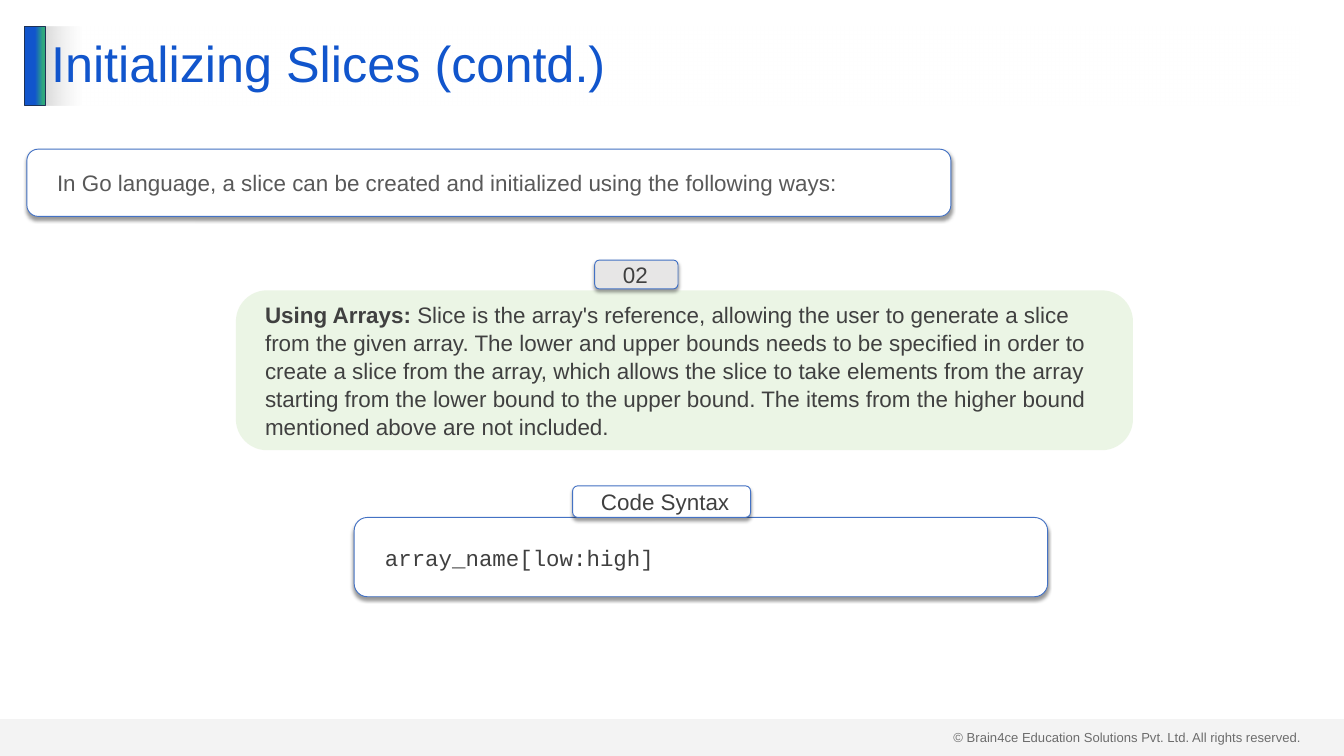
import pptx
import pptx.dml.color
import pptx.enum.shapes
import pptx.enum.text
import pptx.oxml
import pptx.oxml.ns
import pptx.util

Inches = pptx.util.Inches
Pt = pptx.util.Pt
RGB = pptx.dml.color.RGBColor
Kind = pptx.enum.shapes.MSO_SHAPE
Anchor = pptx.enum.text.MSO_ANCHOR
Align = pptx.enum.text.PP_ALIGN
qn = pptx.oxml.ns.qn
NS = pptx.oxml.ns.nsdecls("a")

WHITE = RGB(0xFF, 0xFF, 0xFF)
GREY = RGB(0xD9, 0xD9, 0xD9)
SILVER = RGB(0xE7, 0xE6, 0xE6)
DARK = RGB(0x40, 0x40, 0x40)
MID = RGB(0x59, 0x59, 0x59)
BLUE = RGB(0x11, 0x55, 0xCC)
NAVY = RGB(0x1E, 0x32, 0x56)
EDGE = RGB(0x44, 0x72, 0xC4)
TEAL = RGB(0x2E, 0xA8, 0x7D)
MINT = RGB(0xE2, 0xF0, 0xD9)


def write(frame, text, lead="", size=24, font="Arial", color=DARK,
          indent=0, inset=(0.1, 0.05), space=None, wrap=True,
          anchor=Anchor.MIDDLE):
    """Fill a frame with one paragraph; lead is a bold opening."""
    frame.word_wrap = wrap
    frame.vertical_anchor = anchor
    frame.margin_left = frame.margin_right = Inches(inset[0])
    frame.margin_top = frame.margin_bottom = Inches(inset[1])
    para = frame.paragraphs[0]
    para.alignment = Align.LEFT
    para.line_spacing = space
    if indent:
        props = para._p.get_or_add_pPr()
        props.set("marL", str(Inches(indent)))
        props.set("indent", "0")
    for part, bold in ((lead, True), (text, False)):
        if part:
            run = para.add_run()
            run.text = part
            run.font.size = Pt(size)
            run.font.name = font
            run.font.bold = bold
            run.font.color.rgb = color


def fade(color, alpha):
    """Set the opacity, in percent, of a colour element."""
    color.append(pptx.oxml.parse_xml(
        f'<a:alpha {NS} val="{alpha * 1000}"/>'))


def blend(shape, stops):
    """Give a shape a left-to-right gradient of (place, colour, opacity)."""
    shape.fill.gradient()
    shape.fill.gradient_angle = 0
    group = shape._element.spPr.find(".//" + qn("a:gsLst"))
    for old in list(group):
        group.remove(old)
    for place, color, alpha in stops:
        stop = pptx.oxml.parse_xml(
            f'<a:gs {NS} pos="{place * 1000}"><a:srgbClr val="{color}"/></a:gs>')
        if alpha < 100:
            fade(stop[0], alpha)
        group.append(stop)


class Deck:
    def __init__(self):
        self.show = pptx.Presentation()
        self.show.slide_width = Inches(20)
        self.show.slide_height = Inches(11.25)
        self.slide = self.show.slides.add_slide(self.show.slide_layouts[5])

    def shape(self, kind, box, fill=None, alpha=100, line=None):
        item = self.slide.shapes.add_shape(kind, *map(Inches, box))
        item.shadow.inherit = False
        if fill is not None:
            item.fill.solid()
            item.fill.fore_color.rgb = fill
            if alpha < 100:
                fade(item._element.spPr.find(".//" + qn("a:srgbClr")), alpha)
        if line is None:
            item.line.fill.background()
        else:
            item.line.color.rgb = line
            item.line.width = Pt(1)
        return item

    def title(self, box, text):
        item = self.slide.shapes.title
        item.left, item.top, item.width, item.height = map(Inches, box)
        blend(item, [(0, GREY, 100), (3, WHITE, 50)])
        write(item.text_frame, text, size=54, color=BLUE, space=0.9)

    def label(self, box, text, **style):
        item = self.slide.shapes.add_textbox(*map(Inches, box))
        write(item.text_frame, text, **style)

    def card(self, box, text, fill=WHITE, **style):
        """Outlined rounded box with a soft shadow below."""
        item = self.shape(Kind.ROUNDED_RECTANGLE, box, fill, line=EDGE)
        effect = item._element.spPr.find(qn("a:effectLst"))
        effect.append(pptx.oxml.parse_xml(
            f'<a:outerShdw {NS} blurRad="{Pt(4)}" dist="{Pt(3)}" '
            'dir="5400000" algn="t" rotWithShape="0"><a:srgbClr val="000000">'
            '<a:alpha val="40000"/></a:srgbClr></a:outerShdw>'))
        write(item.text_frame, text, indent=0.2, inset=(0.2, 0.1), **style)

    def panel(self, box, text, lead):
        """Tinted rounded box without an outline."""
        item = self.shape(Kind.ROUNDED_RECTANGLE, box, MINT, alpha=66)
        item.adjustments[0] = 0.195
        write(item.text_frame, text, lead=lead, indent=0.2, space=1.04)


def main():
    deck = Deck()

    # Footer and accent bar
    deck.label((14.09, 10.8, 5.41, 0.34),
               "© Brain4ce Education Solutions Pvt. Ltd. All rights reserved.",
               size=14, wrap=False, anchor=Anchor.TOP)
    bar = deck.shape(Kind.RECTANGLE, (0.37, 0.39, 0.3, 1.18), line=NAVY)
    blend(bar, [(51, BLUE, 100), (90, TEAL, 100), (100, TEAL, 100)])
    deck.shape(Kind.RECTANGLE, (0, 10.7, 20, 0.55), GREY, alpha=29)

    # Title and introduction
    deck.title((0.66, 0.39, 18.67, 1.18), "Initializing Slices (contd.)")
    deck.card((0.4, 2.22, 13.75, 1),
              "In Go language, a slice can be created and initialized "
              "using the following ways:", color=MID)

    # Explanation
    deck.panel((3.51, 4.32, 13.35, 2.38),
               " Slice is the array's reference, allowing the user to generate "
               "a slice from the given array. The lower and upper bounds needs "
               "to be specified in order to create a slice from the array, "
               "which allows the slice to take elements from the array "
               "starting from the lower bound to the upper bound. The items "
               "from the higher bound mentioned above are not included.",
               "Using Arrays:")

    # Code box and tabs
    deck.card((5.27, 7.7, 10.32, 1.18), "array_name[low:high]",
              font="Courier New")
    deck.card((8.85, 3.87, 1.24, 0.43), "02", fill=SILVER)
    deck.card((8.52, 7.23, 2.65, 0.47), "Code Syntax")

    deck.show.save("out.pptx")


if __name__ == "__main__":
    main()
